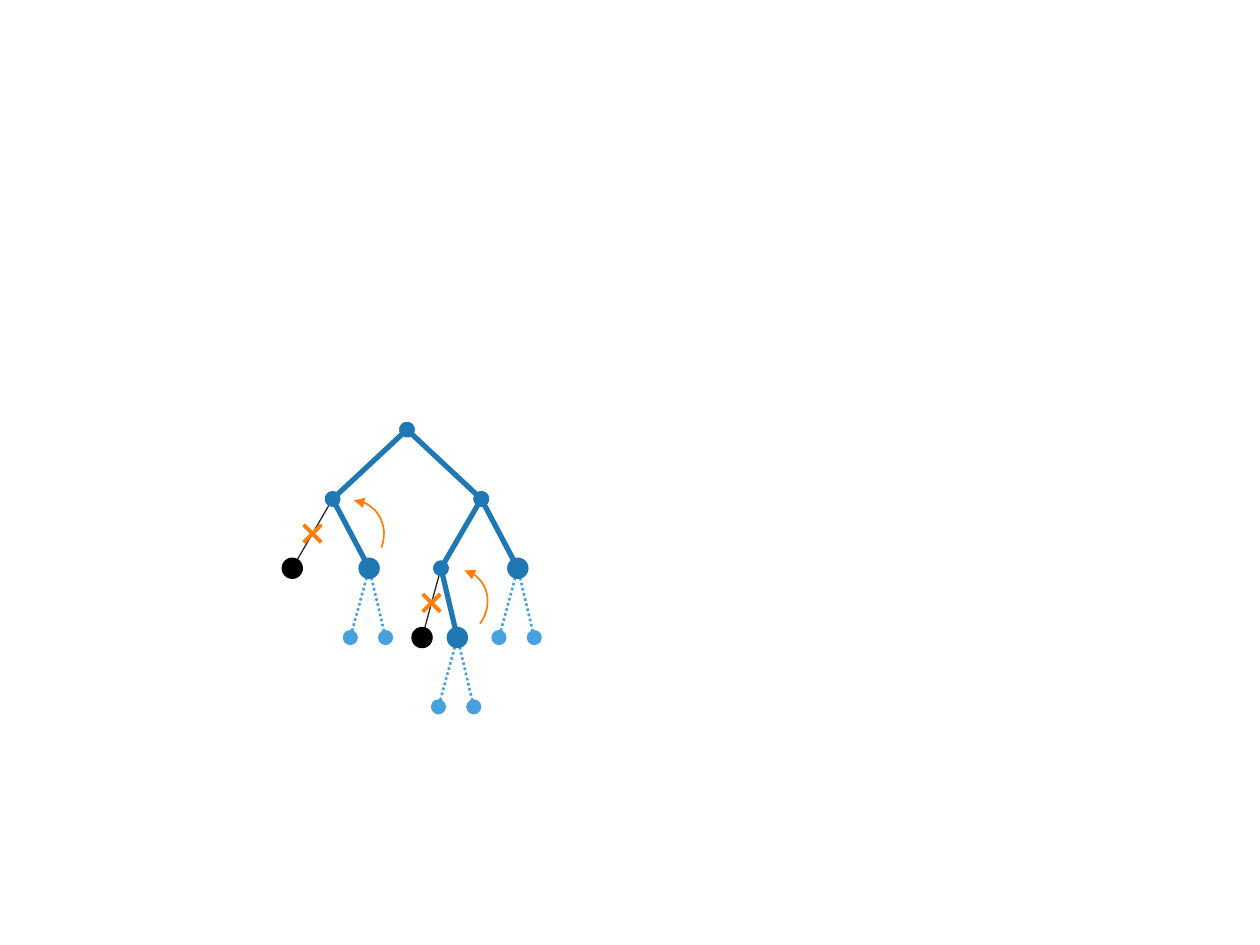
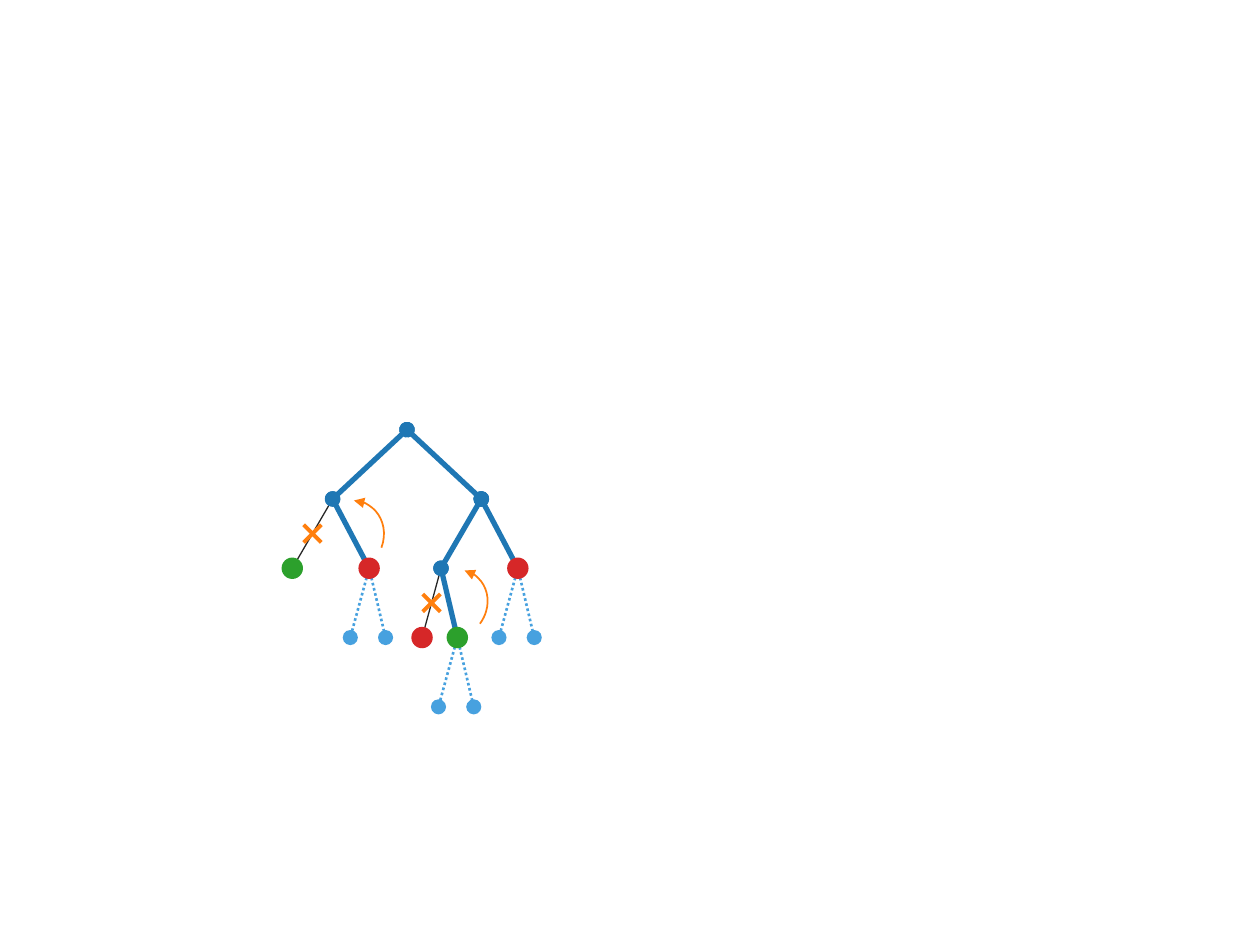
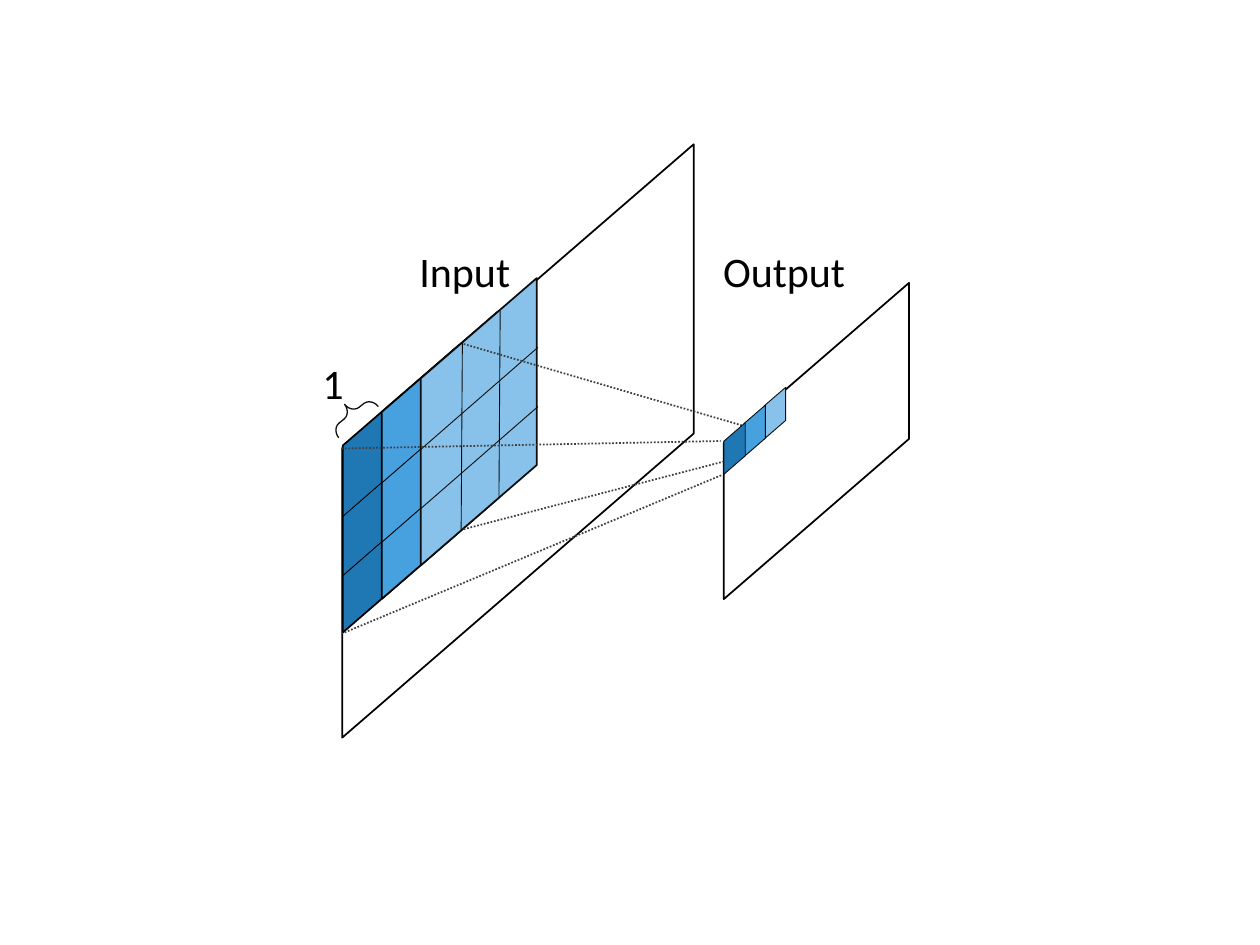
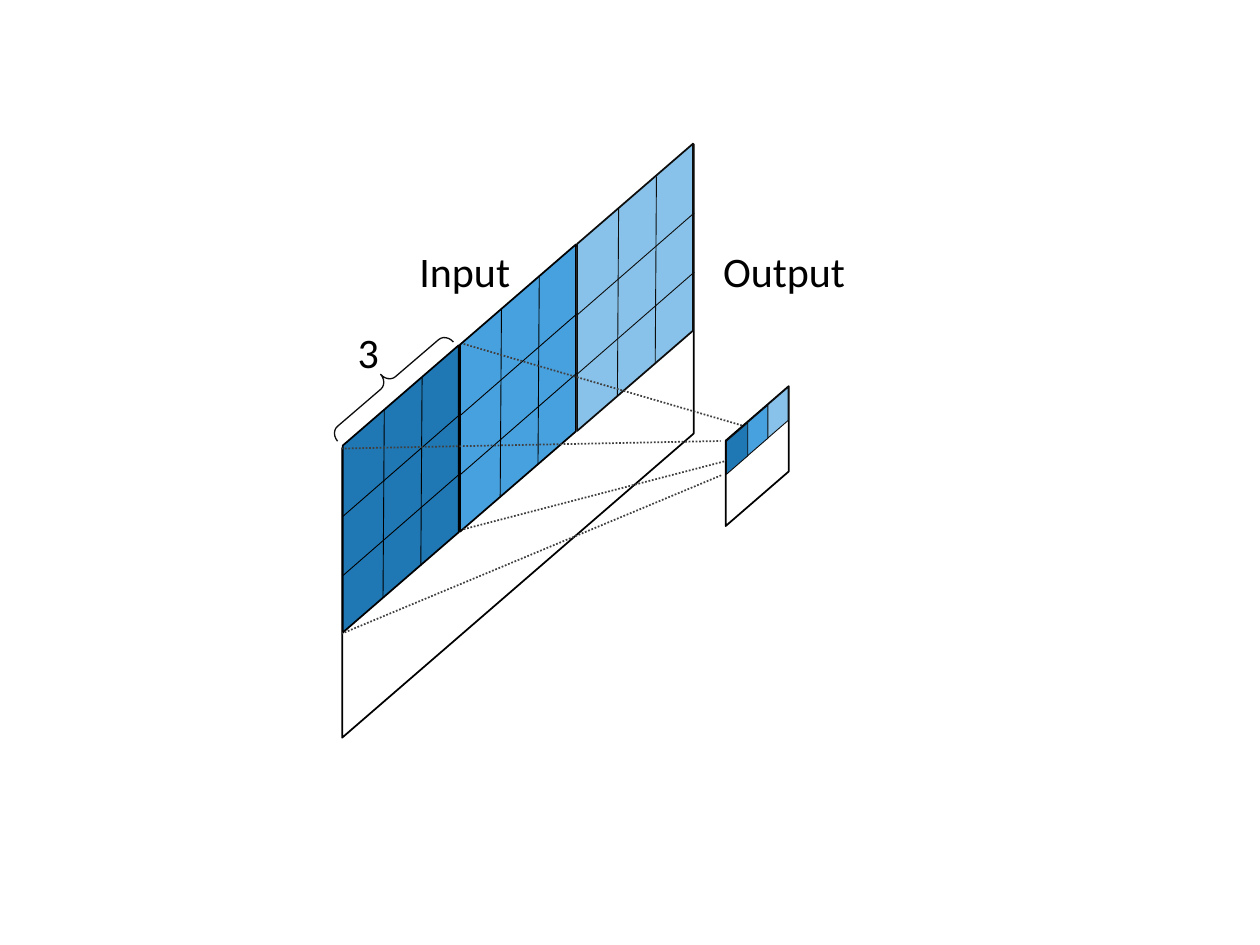
from pptx import Presentation
from pptx.dml.color import RGBColor as RGB
from pptx.enum.dml import MSO_LINE as DASH
from pptx.enum.shapes import MSO_CONNECTOR as CONN, MSO_SHAPE as SHAPE
from pptx.enum.text import MSO_AUTO_SIZE as AUTOSIZE
from pptx.oxml.ns import qn
from pptx.util import Inches, Pt
from lxml import etree

COLORS = {
    "blue": "1F77B4", "mid": "47A1DF", "light": "88C2EA",
    "orange": "FF7F0E", "green": "2CA02C", "red": "D62728",
    "black": "000000", "ink": "0D0D0D", "dark": "262626", "gray": "404040",
}
FONT = {"name": "Calibri", "size": Pt(24)}
EDGE = {"color": "blue", "width": 3, "ends": ("oval", "oval")}
PRUNED = {"color": "dark", "width": 0.75, "ends": ("oval", "oval")}
DOTTED = {"color": "mid", "width": 1.5, "dash": DASH.ROUND_DOT, "ends": ("oval", "oval")}
RAY = {"color": "gray", "width": 1, "dash": DASH.ROUND_DOT}
SLANTED = {"kind": SHAPE.PARALLELOGRAM, "rot": 270, "adj": (0.865,), "flip": True}

prs = Presentation()
prs.slide_width, prs.slide_height = Inches(10), Inches(7.5)
blank = prs.slide_layouts[6]


def add_line(shapes, start, end, color, width, dash=None, ends=()):
    """Straight line, with optional dash and line ends."""
    cn = shapes.add_connector(CONN.STRAIGHT, *[Inches(v) for v in (*start, *end)])
    cn.line.color.rgb = RGB.from_string(COLORS[color])
    cn.line.width = Pt(width)
    if dash:
        cn.line.dash_style = dash
    spPr = cn._element.spPr
    for tag, end_type in zip(("a:headEnd", "a:tailEnd"), ends):
        etree.SubElement(spPr.find(qn("a:ln")), qn(tag)).set("type", end_type)
    etree.SubElement(spPr, qn("a:effectLst"))


def add_shape(shapes, kind, center, size, fill=None, line=None, width=1,
              rot=0, adj=(), flip=False, head=None):
    """Preset shape around a center; size is taken before rotation."""
    (cx, cy), (w, h) = center, size
    sp = shapes.add_shape(kind, *[Inches(v) for v in (cx - w / 2, cy - h / 2, w, h)])
    sp.shadow.inherit = False
    sp.rotation = rot
    for i, value in enumerate(adj):
        sp.adjustments[i] = value
    if flip:
        sp._element.spPr.find(qn("a:xfrm")).set("flipH", "1")
    if fill:
        sp.fill.solid()
        sp.fill.fore_color.rgb = RGB.from_string(COLORS[fill])
    else:
        sp.fill.background()
    if line:
        sp.line.color.rgb = RGB.from_string(COLORS[line])
        sp.line.width = Pt(width)
    else:
        sp.line.fill.background()
    if head:
        ln = sp._element.spPr.find(qn("a:ln"))
        etree.SubElement(ln, qn("a:headEnd")).set("type", head)


# Search tree: node name -> x and level
TOP, LEVEL = 3.41, 0.55
places = {
    "root": (3.23, 0), "left": (2.64, 1), "right": (3.82, 1),
    "cut_a": (2.32, 2), "open_a": (2.93, 2), "inner": (3.5, 2), "open_c": (4.11, 2),
    "cut_b": (3.35, 3), "open_b": (3.63, 3),
}
nodes = {name: (x, TOP + level * LEVEL) for name, (x, level) in places.items()}
pruned = [("left", "cut_a"), ("inner", "cut_b")]
kept = [("root", "left"), ("root", "right"), ("left", "open_a"),
        ("right", "open_c"), ("right", "inner"), ("inner", "open_b")]
back_arrows = [((2.77, 4.26), (0.54, 0.59), 32.2, 207.85),
               ((3.59, 4.8), (0.53, 0.59), 44.1, 210.19)]

# Slides 1 and 2: the same tree, plain and with classes
plain = {"cut_a": "black", "cut_b": "black",
         "open_a": "blue", "open_b": "blue", "open_c": "blue"}
classes = {"cut_a": "green", "cut_b": "red",
           "open_a": "red", "open_b": "green", "open_c": "red"}

for node_colors in (plain, classes):
    shapes = prs.slides.add_slide(blank).shapes
    add_shape(shapes, SHAPE.OVAL, nodes["root"], (0.09, 0.09), "dark")
    for edges, look in ((pruned, PRUNED), (kept, EDGE)):
        for parent, child in edges:
            add_line(shapes, nodes[parent], nodes[child], **look)

    # Unexplored leaves below the open nodes
    for name in ("open_a", "open_b", "open_c"):
        x, y = nodes[name]
        for dx in (-0.15, 0.13):
            leaf = (x + dx, y + LEVEL)
            add_line(shapes, (x, y), leaf, **DOTTED)
            add_shape(shapes, SHAPE.OVAL, leaf, (0.12, 0.12), "mid")
    for name, color in node_colors.items():
        add_shape(shapes, SHAPE.OVAL, nodes[name], (0.17, 0.17), color)

    # Crosses halfway along the pruned edges
    for parent, child in pruned:
        (x1, y1), (x2, y2) = nodes[parent], nodes[child]
        x, y = (x1 + x2) / 2, (y1 + y2) / 2
        cross = shapes.add_group_shape().shapes
        for dy in (0.07, -0.07):
            add_line(cross, (x - 0.07, y - dy), (x + 0.07, y + dy), "orange", 2.25)

    # Backtracking arrows
    for center, size, rot, stop in back_arrows:
        add_shape(shapes, SHAPE.ARC, center, size, line="orange", rot=rot,
                  adj=(147.29, stop), head="triangle")

# Slides 3 and 4: a 3 x 3 filter that moves by stride 1 or 3
FILTER_W, FILTER_RISE = 0.93, 0.8
FILTER_X, FILTER_Y = 3.18, 3.88
CELL_DX, CELL_DY = 0.16, 0.14
tile_looks = [("blue", "black"), ("mid", "black"), ("light", "ink")]
grid_lines = [((-0.46, 0.69), (0.47, -0.12)), ((-0.46, 0.22), (0.47, -0.59)),
              ((-0.13, -0.63), (-0.14, 0.86)), ((0.17, -0.88), (0.16, 0.61))]
rays = [((3.68, 2.73), (5.9, 3.38)), ((2.71, 3.56), (5.72, 3.5)),
        ((3.68, 4.2), (5.91, 3.62)), ((2.71, 5.03), (5.73, 3.77))]
strides = [
    {"stride": 1, "out_center": (6.48, 3.5), "out_size": (2.51, 1.47), "cell_x": 5.83,
     "brace": ((2.79, 3.28), (0.18, 0.4), 51.9), "number": (2.46, 2.79, 0.37)},
    {"stride": 3, "out_center": (6.01, 3.62), "out_size": (1.11, 0.5), "cell_x": 5.85,
     "brace": ((3.08, 3.04), (0.18, 1.21), 49.4), "number": (2.74, 2.54, 0.37)},
]

for s in strides:
    shapes = prs.slides.add_slide(blank).shapes

    # Output and input planes
    add_shape(shapes, center=s["out_center"], size=s["out_size"], line="black", **SLANTED)
    add_shape(shapes, center=(4.11, 3.5), size=(4.71, 2.79), line="black", **SLANTED)

    # Filter positions on the input
    for i, (fill, line) in enumerate(tile_looks):
        shift = i * s["stride"] / 3
        x, y = FILTER_X + shift * FILTER_W, FILTER_Y - shift * FILTER_RISE
        tile = shapes.add_group_shape().shapes
        add_shape(tile, center=(x, y), size=(2.28, 0.92), fill=fill, line=line, **SLANTED)
        for (x1, y1), (x2, y2) in grid_lines:
            add_line(tile, (x + x1, y + y1), (x + x2, y + y2), line, 0.5)

    # Stride brace and projection rays
    center, size, rot = s["brace"]
    add_shape(shapes, SHAPE.LEFT_BRACE, center, size, line="ink", width=0.75,
              rot=rot, adj=(0.42, 0.5))
    for start, end in rays:
        add_line(shapes, start, end, **RAY)

    # Output cells, farthest first
    for i in (2, 1, 0):
        add_shape(shapes, center=(s["cell_x"] + i * CELL_DX, 3.56 - i * CELL_DY),
                  size=(0.41, 0.17), fill=tile_looks[i][0], line="ink", width=0.5, **SLANTED)

    # Labels
    for text, (x, y, w) in ((str(s["stride"]), s["number"]),
                            ("Input", (3.23, 1.9, 0.93)), ("Output", (5.64, 1.9, 1.18))):
        tf = shapes.add_textbox(*[Inches(v) for v in (x, y, w, 0.5)]).text_frame
        tf.word_wrap = False
        tf.auto_size = AUTOSIZE.SHAPE_TO_FIT_TEXT
        r = tf.paragraphs[0].add_run()
        r.text = text
        for key, value in FONT.items():
            setattr(r.font, key, value)
        r.font.color.rgb = RGB.from_string(COLORS["black"])

prs.save("out.pptx")
